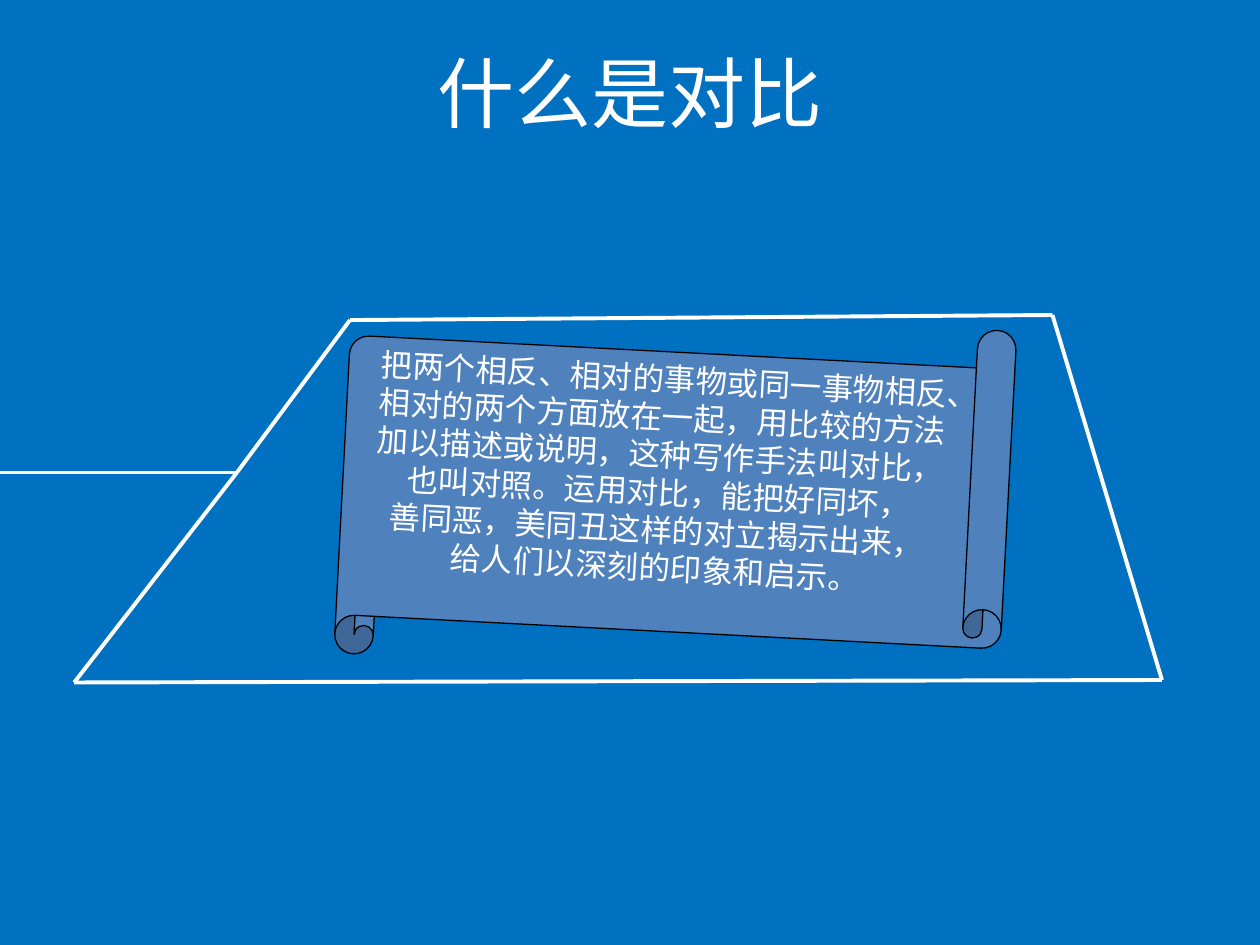
from lxml import etree
from pptx import Presentation
from pptx import util as u
from pptx.dml.color import RGBColor
from pptx.enum import shapes, text
from pptx.oxml.ns import qn

WHITE = "FFFFFF"
TITLE = "什么是对比"
DEFINITION = [
    "把两个相反、相对的事物或同一事物相反、",
    "相对的两个方面放在一起，用比较的方法",
    "加以描述或说明，这种写作手法叫对比，",
    "也叫对照。运用对比，能把好同坏，",
    "善同恶，美同丑这样的对立揭示出来，",
    "给人们以深刻的印象和启示。",
]


def color(value):
    """Return the colour for a hex string."""
    return RGBColor.from_string(value)


def add_text(page, box, lines, size, font):
    """Add centred white lines, unwrapped, in the given box."""
    label = page.shapes.add_textbox(*map(u.Pt, box))
    frame = label.text_frame
    frame.text = "\n".join(lines)
    frame.word_wrap = False
    frame.vertical_anchor = text.MSO_ANCHOR.MIDDLE
    for para in frame.paragraphs:
        para.alignment = text.PP_ALIGN.CENTER
        for span in para.runs:
            span.font.size = u.Pt(size)
            span.font.name = font
            span.font.color.rgb = color(WHITE)
    return label


def add_line(page, start, end):
    """Add a white line between two points."""
    line = page.shapes.add_connector(
        shapes.MSO_CONNECTOR.STRAIGHT, *map(u.Pt, start + end))
    line.line.color.rgb = color(WHITE)
    line.line.width = u.Pt(2.25)
    etree.SubElement(line._element.spPr, qn("a:effectLst"))


def add_frame(page, box):
    """Add the lead-in line and the four-sided outline around the scroll."""
    left, top, width, height = box
    right, bottom = left + width, top + height
    joint = (left + 93, top + 90)
    corners = [joint, (left + 157.6, top + 2.9), (right - 62.6, top),
               (right, bottom - 1.4), (left, bottom), joint]
    add_line(page, (0, joint[1]), joint)
    for start, end in zip(corners, corners[1:]):
        add_line(page, start, end)


def add_scroll(page, box):
    """Add the tilted scroll with the definition on it."""
    left, top, width, height = box
    scroll = page.shapes.add_shape(
        shapes.MSO_SHAPE.HORIZONTAL_SCROLL, *map(u.Pt, box))
    scroll.rotation = 183
    scroll.adjustments[0] = 0.108
    scroll.shadow.inherit = False
    scroll.fill.solid()
    scroll.fill.fore_color.rgb = color("4F81BD")
    scroll.line.color.rgb = color("000000")
    scroll.line.width = u.Pt(0.75)
    label_box = (left + 11, top + 21, width - 40, height - 64)
    label = add_text(page, label_box, DEFINITION, 18, "Calibri")
    label.rotation = 3


def main():
    """Build and save the deck."""
    deck = Presentation()
    deck.slide_width, deck.slide_height = u.Pt(720), u.Pt(540)
    page = deck.slides.add_slide(deck.slide_layouts[6])
    page.background.fill.solid()
    page.background.fill.fore_color.rgb = color("0070C0")
    add_frame(page, (42.4, 180, 621.6, 390 - 180))
    add_text(page, (242.6, 22.3, 234.8, 60.5), [TITLE], 44, "Noto Sans CJK SC")
    add_scroll(page, (195.8, 179.3, 380.2, 203.8))
    deck.save("out.pptx")


if __name__ == "__main__":
    main()
